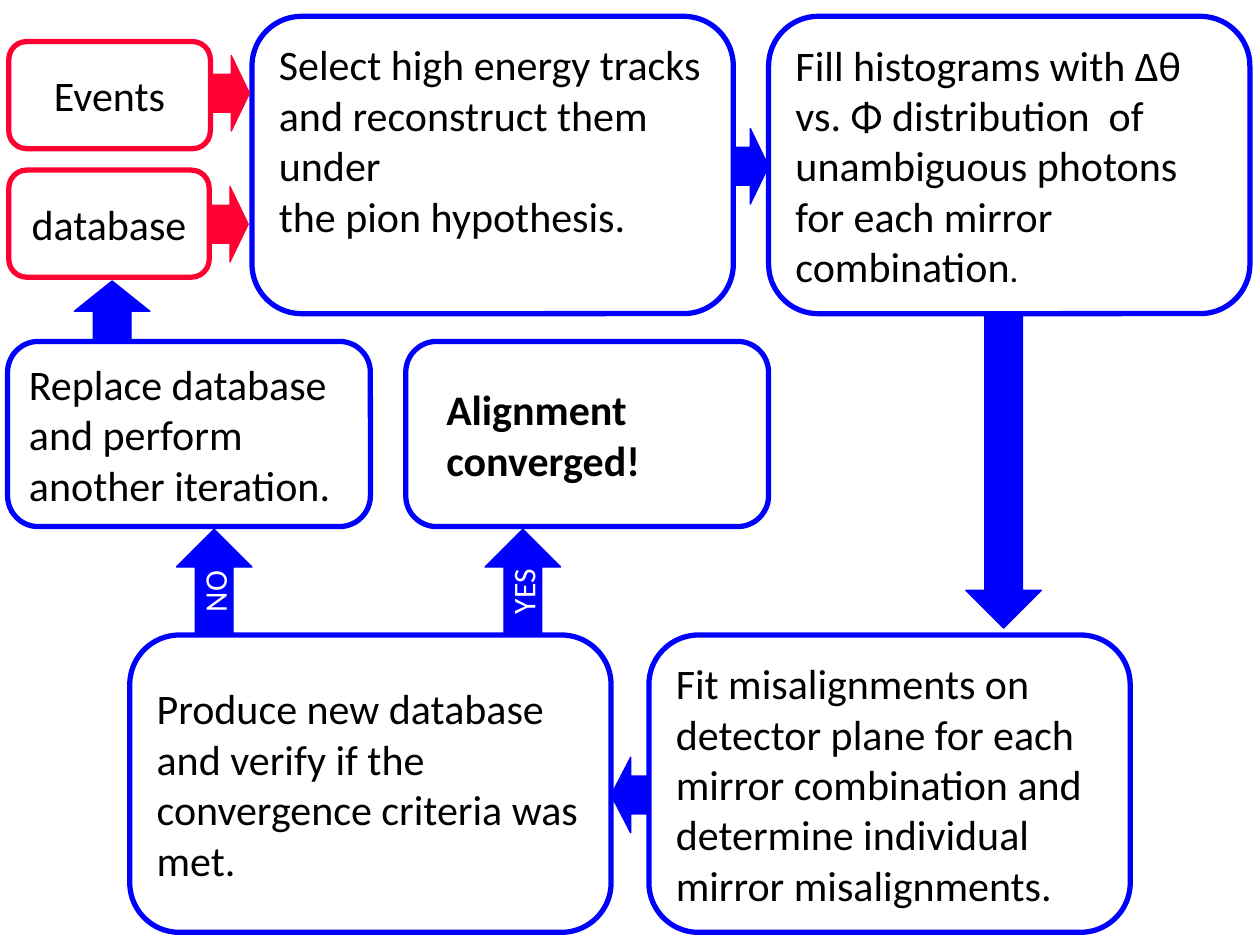
"""Build a flow chart of the iterative mirror alignment procedure."""
import pptx
import pptx.dml.color
import pptx.enum.shapes
import pptx.enum.text
import pptx.util

Inches = pptx.util.Inches
Pt = pptx.util.Pt
Kind = pptx.enum.shapes.MSO_SHAPE
Align = pptx.enum.text.PP_ALIGN
Color = pptx.dml.color.RGBColor

RED = Color(0xFE, 0x00, 0x32)
BLUE = Color(0x00, 0x00, 0xFF)
BLACK = Color(0x00, 0x00, 0x00)
WHITE = Color(0xFF, 0xFF, 0xFF)

BIG = (3.82, 2.36)
MID = (2.88, 1.47)
WIDE = 0.6

STEPS = [
    (2, 0.13, BIG, ["Select high energy tracks and reconstruct them under",
                    "the pion hypothesis."], {"foot": 0.45}),
    (6.1, 0.13, BIG, ["Fill histograms with Δθ vs. Φ distribution  of "
                      "unambiguous photons for each mirror combination"],
     {"stop": "."}),
    (5.15, 5.04, BIG, ["Fit misalignments on detector plane for each mirror "
                       "combination and determine individual mirror "
                       "misalignments."], {}),
    (1.03, 5.04, BIG, ["Produce new database and verify if the convergence "
                       "criteria was met."], {}),
    (0.06, 2.71, MID, ["Replace database and perform another iteration."], {}),
    (3.22, 2.71, MID, ["Alignment", "converged!"],
     {"bold": True, "inset": 0.25}),
]
INPUTS = [
    (0.07, 0.33, (1.6, 0.85), ["Events"]),
    (0.07, 1.35, (1.59, 0.85), ["database"]),
]
ARROWS = [
    (1.69, 0.44, 0.29, 0, RED, ""),
    (1.68, 1.48, 0.29, 0, RED, ""),
    (5.81, 1.02, 0.29, 0, BLUE, ""),
    (6.72, 3.44, 2.49, 90, BLUE, ""),
    (4.85, 6.01, 0.31, 180, BLUE, ""),
    (1.28, 4.32, 0.84, 270, BLUE, "NO"),
    (3.73, 4.32, 0.84, 270, BLUE, "YES"),
    (0.65, 2.17, 0.48, 270, BLUE, ""),
]


def add_run(para, text, size, color, bold=False):
    """Append one formatted run to a paragraph."""
    run = para.add_run()
    run.text = text
    run.font.name = "Calibri"
    run.font.size = Pt(size)
    run.font.bold = bold
    run.font.color.rgb = color


def add_form(slide, kind, left, top, size, color, weight):
    """Add an outlined shape without fill or shadow."""
    form = slide.shapes.add_shape(
        kind, Inches(left), Inches(top), Inches(size[0]), Inches(size[1]))
    form.shadow.inherit = False
    form.fill.background()
    form.line.color.rgb = color
    form.line.width = Pt(weight)
    form.text_frame.word_wrap = True
    form.text_frame.vertical_anchor = pptx.enum.text.MSO_ANCHOR.MIDDLE
    return form


def add_box(slide, left, top, size, lines, color, align=Align.LEFT,
            bold=False, inset=0.1, foot=0.05, stop=""):
    """Add a rounded box holding lines of text."""
    box = add_form(slide, Kind.ROUNDED_RECTANGLE, left, top, size, color, 3)
    frame = box.text_frame
    frame.margin_left = Inches(inset)
    frame.margin_bottom = Inches(foot)
    para = frame.paragraphs[0]
    para.alignment = align
    for index, line in enumerate(lines):
        if index:
            para.add_line_break()
        add_run(para, line, 24, BLACK, bold)
    if stop:
        add_run(para, stop, 20, BLACK, bold)


def add_arrow(slide, left, top, length, turn, color, label):
    """Add a block arrow, turned clockwise, with an optional label."""
    arrow = add_form(slide, Kind.RIGHT_ARROW, left, top, (length, WIDE),
                     color, 0.75)
    arrow.rotation = turn
    arrow.fill.solid()
    arrow.fill.fore_color.rgb = color
    if label:
        para = arrow.text_frame.paragraphs[0]
        para.alignment = Align.CENTER
        add_run(para, label, 18, WHITE)


def main():
    """Lay out the boxes and arrows and save the slide."""
    deck = pptx.Presentation()
    deck.slide_width = Inches(10)
    deck.slide_height = Inches(7.5)
    slide = deck.slides.add_slide(deck.slide_layouts[6])
    for left, top, size, lines in INPUTS:
        add_box(slide, left, top, size, lines, RED, Align.CENTER)
    for left, top, size, lines, style in STEPS:
        add_box(slide, left, top, size, lines, BLUE, **style)
    for arrow in ARROWS:
        add_arrow(slide, *arrow)
    deck.save("out.pptx")


if __name__ == "__main__":
    main()
